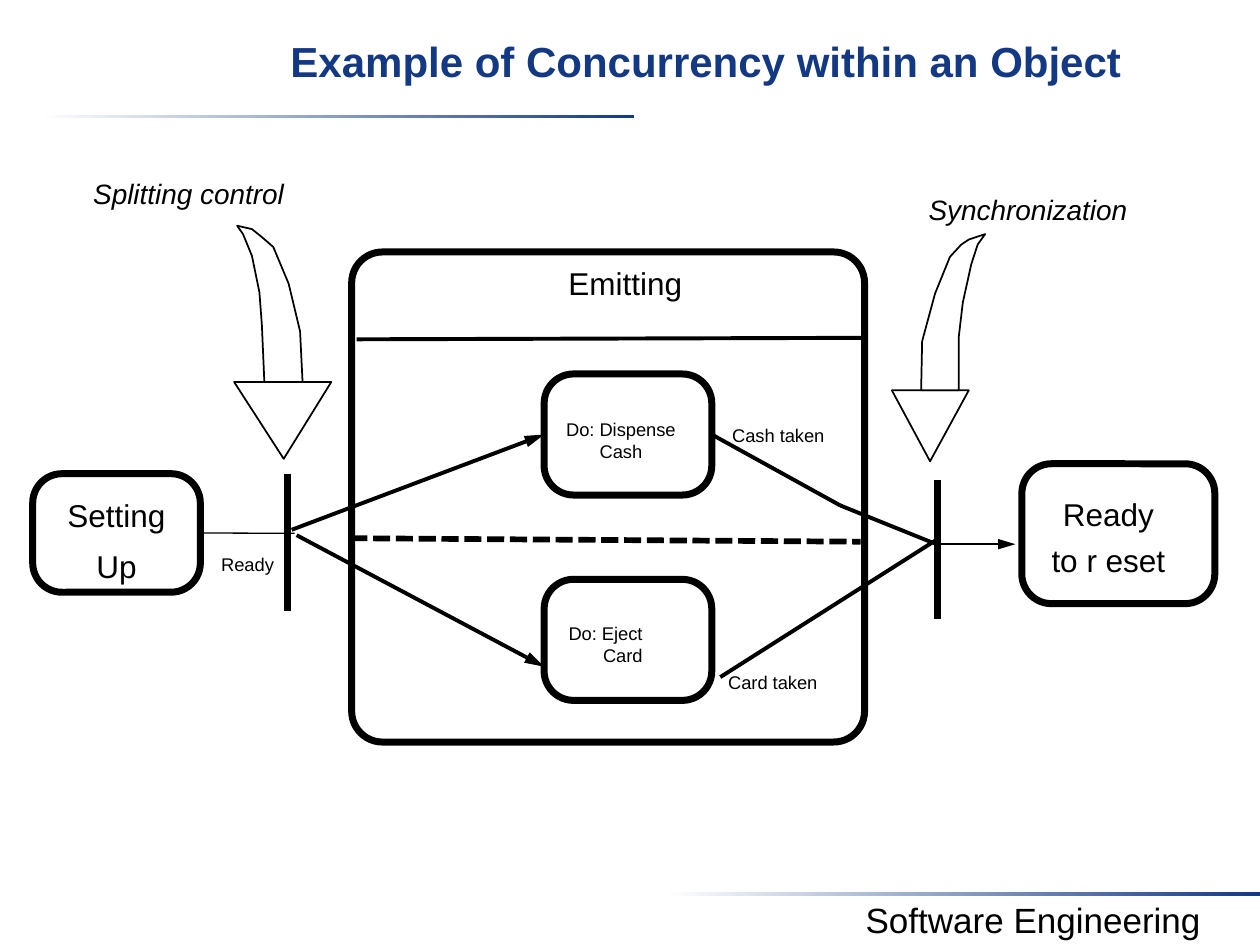
from lxml import etree
from pptx import Presentation
from pptx.dml.color import RGBColor
from pptx.enum.dml import MSO_LINE
from pptx.enum.shapes import MSO_CONNECTOR, MSO_SHAPE
from pptx.enum.text import MSO_ANCHOR, PP_ALIGN
from pptx.oxml.ns import qn
from pptx.util import Cm, Pt

STRAIGHT = MSO_CONNECTOR.STRAIGHT
RECTANGLE, ROUNDED = MSO_SHAPE.RECTANGLE, MSO_SHAPE.ROUNDED_RECTANGLE
LEFT, CENTER, RIGHT = PP_ALIGN.LEFT, PP_ALIGN.CENTER, PP_ALIGN.RIGHT
TOP, MIDDLE = MSO_ANCHOR.TOP, MSO_ANCHOR.MIDDLE
DOTTED = MSO_LINE.SQUARE_DOT

NAVY = RGBColor(0x13, 0x39, 0x84)
BLACK = RGBColor(0, 0, 0)
WHITE = RGBColor(255, 255, 255)
FONT = "Arial"
LEFT_SIDE, RIGHT_SIDE = 1, 3
NO_INSETS = (0, 0, 0, 0)

TITLE = "Example of Concurrency within an Object"
RULES = [(0.79, 2.31), (13.41, 17.98)]
RULE_WIDTH, RULE_HEIGHT = 11.99, 0.08

# key: lines, (left, top, width, height), corner, size, insets, align, anchor, gap
STATES = {
    "emitting": (["Emitting"], (7.09, 5.08, 10.34, 9.88), 0.063, 18,
                 (0.69, 0.06, 0, 0), CENTER, TOP, 0),
    "setting up": (["Setting", "Up"], (0.66, 9.55, 3.38, 2.39), 0.247, 18,
                   (0, 0.3, 0, 0), CENTER, MIDDLE, 7),
    "reset": (["Ready", "to r eset"], (20.6, 9.35, 3.89, 2.82), 0.212, 18,
              (0, 0.14, 0.4, 0), CENTER, MIDDLE, 4.5),
    "dispense": (["Do: Dispense", "Cash"], (10.97, 7.54, 3.38, 2.44), 0.243, 10.5,
                 (0, 0.22, 0.28, 0), CENTER, MIDDLE, 0),
    "eject": (["Do: Eject", "Card"], (10.97, 11.68, 3.38, 2.44), 0.243, 10.5,
              (0, 0.18, 1.22, 0), RIGHT, MIDDLE, 0),
}

LABELS = [
    ("Ready", (4.46, 11.02, 1.2, 0.7), 10.5, False, LEFT),
    ("Cash taken", (14.76, 8.42, 2.2, 0.7), 10.5, False, LEFT),
    ("Card taken", (14.68, 13.4, 2.2, 0.7), 10.5, False, LEFT),
    ("Splitting control", (1.88, 3.44, 4.2, 0.9), 16, True, LEFT),
    ("Synchronization", (18.72, 3.78, 4.3, 0.9), 16, True, LEFT),
    ("Software Engineering", (16.26, 17.98, 9.14, 1.12), 20, False, CENTER),
]

DIVIDERS = [
    ((7.19, 6.84), (17.42, 6.81), 2.25, None),
    ((7.06, 10.85), (17.35, 10.92), 3.25, DOTTED),
]
BARS = [
    ((5.79, 9.55), (5.79, 12.32), 4, None),
    ((18.9, 9.68), (18.9, 12.47), 4, None),
]

# from, to, width, arrowhead; an end is a point or a side of a state
TRANSITIONS = [
    (("setting up", RIGHT_SIDE), (5.94, 10.75), 0.75, False),
    ((5.88, 10.68), ("dispense", LEFT_SIDE), 2.25, True),
    ((5.98, 10.79), (10.97, 13.44), 2.25, True),
    (("dispense", RIGHT_SIDE), (16.94, 10.19), 2.25, False),
    ((16.94, 10.19), (18.8, 10.94), 2.25, False),
    ((14.52, 13.65), (18.85, 10.9), 2.25, False),
    ((18.8, 10.97), (20.47, 10.97), 1, True),
]

CURVED_ARROWS = [
    ([(17.98, 7.87), (19.53, 7.87), (18.75, 9.3)],
     [(18.57, 7.87), (18.59, 6.88), (18.85, 5.92), (19.15, 5.18), (19.38, 4.93),
      (19.53, 4.83), (19.86, 4.72), (19.71, 4.93), (19.58, 5.33), (19.41, 6.1),
      (19.33, 6.78), (19.33, 7.87)]),
    ([(4.72, 7.7), (6.68, 7.7), (5.72, 9.25)],
     [(6.1, 7.7), (6.05, 6.68), (5.82, 5.72), (5.51, 4.98), (5.28, 4.78),
      (5.08, 4.62), (4.78, 4.55), (4.9, 4.72), (5.08, 5.16), (5.23, 5.89),
      (5.28, 6.55), (5.33, 7.7)]),
]


def write(frame, lines, size, insets, align, anchor, gap=0,
          color=BLACK, bold=False, italic=False):
    frame.word_wrap = True
    frame.vertical_anchor = anchor
    (frame.margin_left, frame.margin_top,
     frame.margin_right, frame.margin_bottom) = map(Cm, insets)
    for index, line in enumerate(lines):
        paragraph = frame.add_paragraph() if index else frame.paragraphs[0]
        paragraph.alignment = align
        if index:
            paragraph.space_before = Pt(gap)
        run = paragraph.add_run()
        run.text = line
        run.font.name, run.font.size = FONT, Pt(size)
        run.font.bold, run.font.italic = bold, italic
        run.font.color.rgb = color


def outline(shape, width):
    shape.shadow.inherit = False
    shape.line.color.rgb = BLACK
    shape.line.width = Pt(width)


def add_line(shapes, start, end, width, dash=None, arrow=False):
    line = shapes.add_connector(STRAIGHT, *map(Cm, start + end))
    line.line.color.rgb = BLACK
    line.line.width = Pt(width)
    if dash is not None:
        line.line.dash_style = dash
    if arrow:
        etree.SubElement(line.line._get_or_add_ln(), qn("a:tailEnd"),
                         type="triangle", w="med", len="lg")
    etree.SubElement(line._element.spPr, qn("a:effectLst"))
    return line


def locate(end):
    if end[0] not in STATES:
        return end
    left, top, width, height = STATES[end[0]][1]
    return (left + (width if end[1] == RIGHT_SIDE else 0), top + height / 2)


def add_outline(shapes, points):
    start, *rest = [(round(x * 100), round(y * 100)) for x, y in points]
    builder = shapes.build_freeform(*start, scale=Cm(0.01))
    builder.add_line_segments(rest, close=True)
    shape = builder.convert_to_shape()
    shape.fill.solid()
    shape.fill.fore_color.rgb = WHITE
    outline(shape, 1)


def main():
    deck = Presentation()
    deck.slide_width, deck.slide_height = Cm(25.4), Cm(19.05)
    slide = deck.slides.add_slide(deck.slide_layouts[5])
    shapes = slide.shapes

    title = shapes.title
    title.left, title.top, title.width, title.height = map(Cm, (4.72, 0.51, 19.02, 1.9))
    write(title.text_frame, [TITLE], 24, (0.25, 0.21, 0.25, 0.13), CENTER, TOP,
          color=NAVY, bold=True)

    for left, top in RULES:
        rule = shapes.add_shape(RECTANGLE, *map(Cm, (left, top, RULE_WIDTH, RULE_HEIGHT)))
        rule.shadow.inherit = False
        rule.line.fill.background()
        rule.fill.gradient()
        rule.fill.gradient_angle = 0
        for stop, color in zip(rule.fill.gradient_stops, (WHITE, NAVY)):
            stop.color.rgb = color

    states = {}
    for key, (lines, place, corner, size, insets, align, anchor, gap) in STATES.items():
        state = shapes.add_shape(ROUNDED, *map(Cm, place))
        state.adjustments[0] = corner
        state.fill.background()
        outline(state, 4)
        write(state.text_frame, lines, size, insets, align, anchor, gap)
        states[key] = state

    for start, end, width, dash in DIVIDERS + BARS:
        add_line(shapes, start, end, width, dash)

    for start, end, width, arrow in TRANSITIONS:
        transition = add_line(shapes, locate(start), locate(end), width, arrow=arrow)
        if start[0] in states:
            transition.begin_connect(states[start[0]], start[1])
        if end[0] in states:
            transition.end_connect(states[end[0]], end[1])

    for head, tail in CURVED_ARROWS:
        add_outline(shapes, head)
        add_outline(shapes, tail)

    for label, place, size, italic, align in LABELS:
        box = shapes.add_textbox(*map(Cm, place))
        write(box.text_frame, [label], size, NO_INSETS, align, MIDDLE, italic=italic)

    deck.save("out.pptx")


if __name__ == "__main__":
    main()
